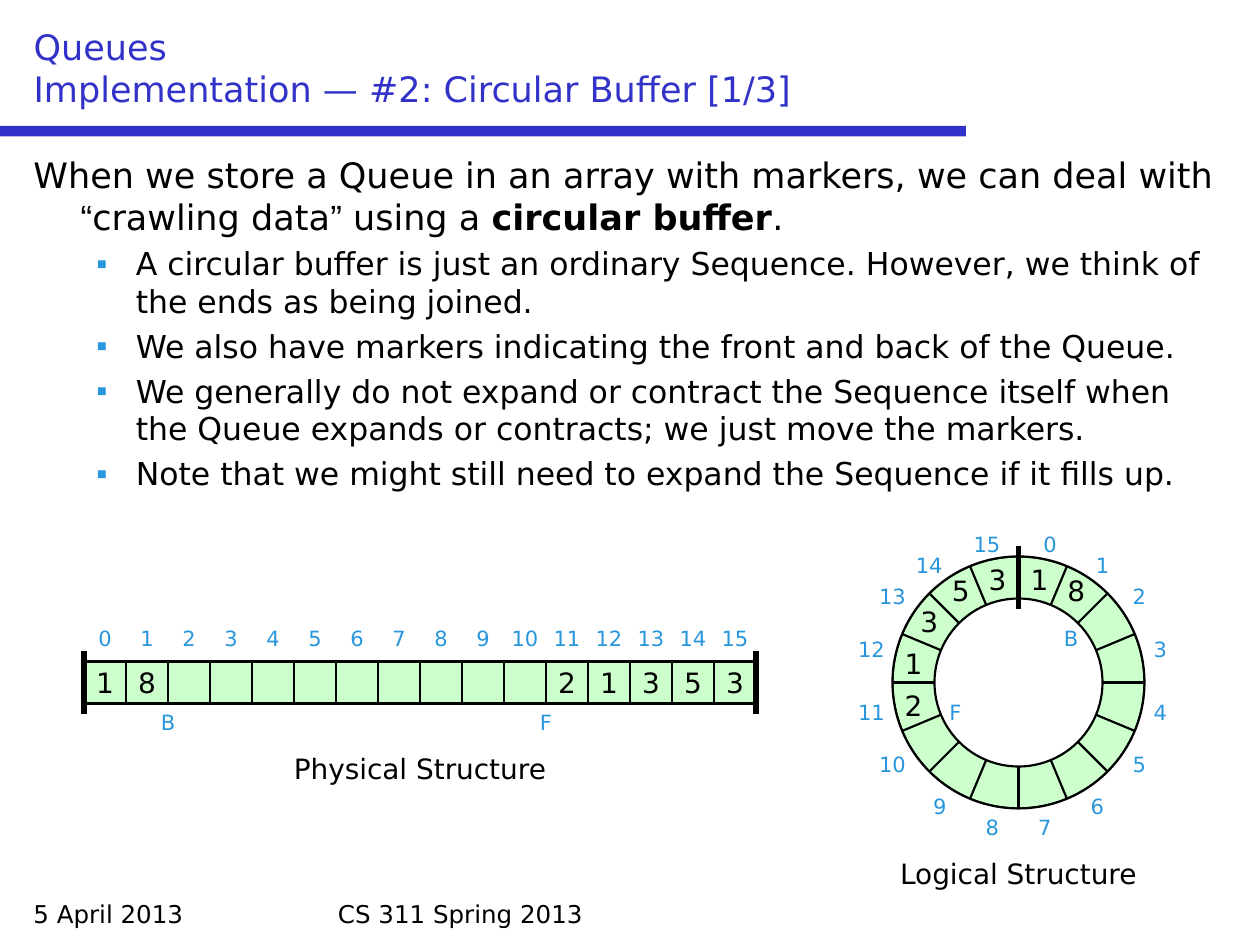
"""Build the slide on circular buffers, with linear and ring views of one array."""
import copy
from dataclasses import dataclass

import lxml.etree
import pptx
import pptx.dml.color
import pptx.enum.shapes
import pptx.enum.text
import pptx.oxml.ns
import pptx.util

PX = 9525
SHAPE = pptx.enum.shapes.MSO_SHAPE
ALIGN = pptx.enum.text.PP_ALIGN
ANCHOR = pptx.enum.text.MSO_ANCHOR
AUTO = pptx.enum.text.MSO_AUTO_SIZE


@dataclass(frozen=True)
class Theme:
    font: str = "DejaVu Sans"
    quote_font: str = "Arial"
    ink: str = "000000"
    title: str = "3232C8"
    accent: str = "2896DC"
    cell: str = "CCFFCC"
    paper: str = "FFFFFF"
    lead_size: int = 20
    bullet_size: int = 18
    value_size: int = 16
    footer_size: int = 14
    index_size: int = 12
    thin: float = 1.25
    thick: float = 3


THEME = Theme()


def rgb(color):
    return pptx.dml.color.RGBColor.from_string(color)


def write(para, text, *, size, color=THEME.ink, font=THEME.font, bold=False):
    for number, line in enumerate(text.split("\n")):
        if number:
            para.add_line_break()
        span = para.add_run()
        span.text = line
        span.font.size = pptx.util.Pt(size)
        span.font.name = font
        span.font.bold = bold
        span.font.color.rgb = rgb(color)
    for line_break in para._p.findall(pptx.oxml.ns.qn("a:br")):
        line_break.append(copy.deepcopy(span._r.rPr))


def indent(para, left, first):
    properties = para._p.get_or_add_pPr()
    properties.set("marL", str(left * PX))
    properties.set("indent", str(first * PX))
    return properties


class Slide:
    def __init__(self, deck, theme):
        self.theme = theme
        self.page = deck.slides.add_slide(deck.slide_layouts[5])

    def title(self, text, *bounds):
        box = self.page.shapes.title
        box.left, box.top, box.width, box.height = (v * PX for v in bounds)
        frame = box.text_frame
        frame.auto_size = AUTO.NONE
        frame.vertical_anchor = ANCHOR.BOTTOM
        para = frame.paragraphs[0]
        para.alignment = ALIGN.LEFT
        write(para, text, size=self.theme.lead_size, color=self.theme.title)

    def frame(self, *bounds):
        box = self.page.shapes.add_textbox(*(v * PX for v in bounds))
        box.text_frame.word_wrap = True
        return box.text_frame

    def label(self, text, left, top, width, **style):
        frame = self.frame(left, top, width, 29 if style["size"] == self.theme.index_size else 36)
        frame.auto_size = AUTO.SHAPE_TO_FIT_TEXT
        frame.paragraphs[0].alignment = ALIGN.CENTER
        write(frame.paragraphs[0], text, **style)

    def index(self, text, left, top, width):
        self.label(text, left, top, width, size=self.theme.index_size, color=self.theme.accent)

    def value(self, text, left, top, width):
        self.label(text, left, top, width, size=self.theme.value_size)

    def footer(self, text, *bounds):
        write(self.frame(*bounds).paragraphs[0], text, size=self.theme.footer_size)

    def bullet(self, frame, text):
        para = frame.add_paragraph()
        para.level = 1
        properties = indent(para, 78, -30)
        tag = pptx.oxml.ns.qn
        color = lxml.etree.SubElement(properties, tag("a:buClr"))
        lxml.etree.SubElement(color, tag("a:srgbClr"), val=self.theme.accent)
        lxml.etree.SubElement(properties, tag("a:buFont"), typeface=self.theme.quote_font)
        lxml.etree.SubElement(properties, tag("a:buChar"), char="▪")
        para.space_before = pptx.util.Pt(4)
        write(para, text, size=self.theme.bullet_size)

    def shape(self, kind, *bounds, fill=None, line=None):
        shape = self.page.shapes.add_shape(kind, *(v * PX for v in bounds))
        shape.shadow.inherit = False
        if fill:
            shape.fill.solid()
            shape.fill.fore_color.rgb = rgb(fill)
        else:
            shape.fill.background()
        if line:
            shape.line.color.rgb = rgb(self.theme.ink)
            shape.line.width = pptx.util.Pt(line)
        else:
            shape.line.fill.background()
        return shape

    def cell(self, text, *bounds):
        shape = self.shape(SHAPE.RECTANGLE, *bounds, fill=self.theme.cell, line=self.theme.thin)
        if text:
            frame = shape.text_frame
            frame.word_wrap = False
            frame.vertical_anchor = ANCHOR.MIDDLE
            frame.paragraphs[0].alignment = ALIGN.CENTER
            write(frame.paragraphs[0], text, size=self.theme.value_size)

    def line(self, *ends, weight):
        kind = pptx.enum.shapes.MSO_CONNECTOR.STRAIGHT
        line = self.page.shapes.add_connector(kind, *(v * PX for v in ends))
        line.line.color.rgb = rgb(self.theme.ink)
        line.line.width = pptx.util.Pt(weight)
        lxml.etree.SubElement(line._element.spPr, pptx.oxml.ns.qn("a:effectLst"))


VALUES = {0: "1", 1: "8", 11: "2", 12: "1", 13: "3", 14: "5", 15: "3"}
BULLETS = [
    "A circular buffer is just an ordinary Sequence. However, we think of the ends as being joined.",
    "We also have markers indicating the front and back of the Queue.",
    "We generally do not expand or contract the Sequence itself when the Queue expands or "
    "contracts; we just move the markers.",
    "Note that we might still need to expand the Sequence if it fills up.",
]
RING_INDEXES = [
    (784, 400, 32), (824, 416, 32), (848, 440, 40), (864, 480, 40),
    (864, 528, 40), (848, 568, 40), (816, 600, 40), (776, 616, 40),
    (736, 616, 40), (696, 600, 40), (656, 568, 48), (640, 528, 48),
    (640, 480, 48), (656, 440, 48), (680, 416, 56), (728, 400, 48),
]
RING_VALUES = {
    0: (768, 424, 48), 1: (800, 432, 40), 11: (672, 520, 48), 12: (672, 488, 48),
    13: (688, 456, 40), 14: (712, 432, 40), 15: (736, 424, 48),
}


def draw_text(slide):
    slide.shape(SHAPE.RECTANGLE, 0, 96, 736, 8, fill=THEME.title)
    slide.title("Queues\nImplementation — #2: Circular Buffer [1/3]", 16, 16, 928, 72)
    slide.footer("5 April 2013", 16, 680, 224, 32)
    slide.footer("CS 311 Spring 2013", 248, 680, 464, 32)
    body = slide.frame(16, 112, 928, 560)
    lead = body.paragraphs[0]
    indent(lead, 36, -36)
    for text, style in [
        ("When we store a Queue in an array with markers, we can deal with ", {}),
        ("“", {"font": THEME.quote_font}),
        ("crawling data", {}),
        ("”", {"font": THEME.quote_font}),
        (" using a ", {}),
        ("circular buffer", {"bold": True}),
        (".", {}),
    ]:
        write(lead, text, size=THEME.lead_size, **style)
    for text in BULLETS:
        slide.bullet(body, text)


def draw_array(slide, left=64, top=504, side=32, count=16):
    for number in range(count):
        x = left + number * side
        slide.cell(VALUES.get(number), x, top, side, side)
        margin = 8 if number > 9 else 0
        slide.index(str(number), x - margin, top - 32, side + 2 * margin)
    for x in (left, left + count * side):
        slide.line(x, top - 8, x, top + 40, weight=THEME.thick)
    for text, slot in (("B", 2), ("F", 11)):
        slide.index(text, left + slot * side - side // 2, top + side, side)
    slide.value("Physical Structure", 208, 568, 224)


def draw_ring(slide, x=776, y=520):
    slide.shape(SHAPE.OVAL, x - 96, y - 96, 192, 192, fill=THEME.cell, line=THEME.thin)
    for across, down in [(104, 0), (96, 40), (72, 72), (40, 96)]:
        for dx, dy in [(across, down), (-down, across), (-across, -down), (down, -across)]:
            slide.line(x, y, x + dx, y + dy, weight=THEME.thin)
    slide.shape(SHAPE.OVAL, x - 64, y - 64, 128, 128, fill=THEME.paper, line=THEME.thin)
    mask = slide.shape(SHAPE.DONUT, x - 112, y - 112, 224, 224, fill=THEME.paper)
    mask.adjustments[0] = 0.07
    for number, place in enumerate(RING_INDEXES):
        slide.index(str(number), *place)
    slide.index("F", 712, 528, 32)
    slide.index("B", 800, 472, 32)
    for number, place in RING_VALUES.items():
        slide.value(VALUES[number], *place)
    slide.shape(SHAPE.OVAL, x - 96, y - 96, 192, 192, line=THEME.thin)
    slide.line(x, y - 56, x, y - 104, weight=THEME.thick)
    slide.value("Logical Structure", 664, 648, 224)


def main():
    deck = pptx.Presentation()
    deck.slide_width, deck.slide_height = 960 * PX, 720 * PX
    slide = Slide(deck, THEME)
    draw_text(slide)
    draw_array(slide)
    draw_ring(slide)
    deck.save("out.pptx")


if __name__ == "__main__":
    main()
